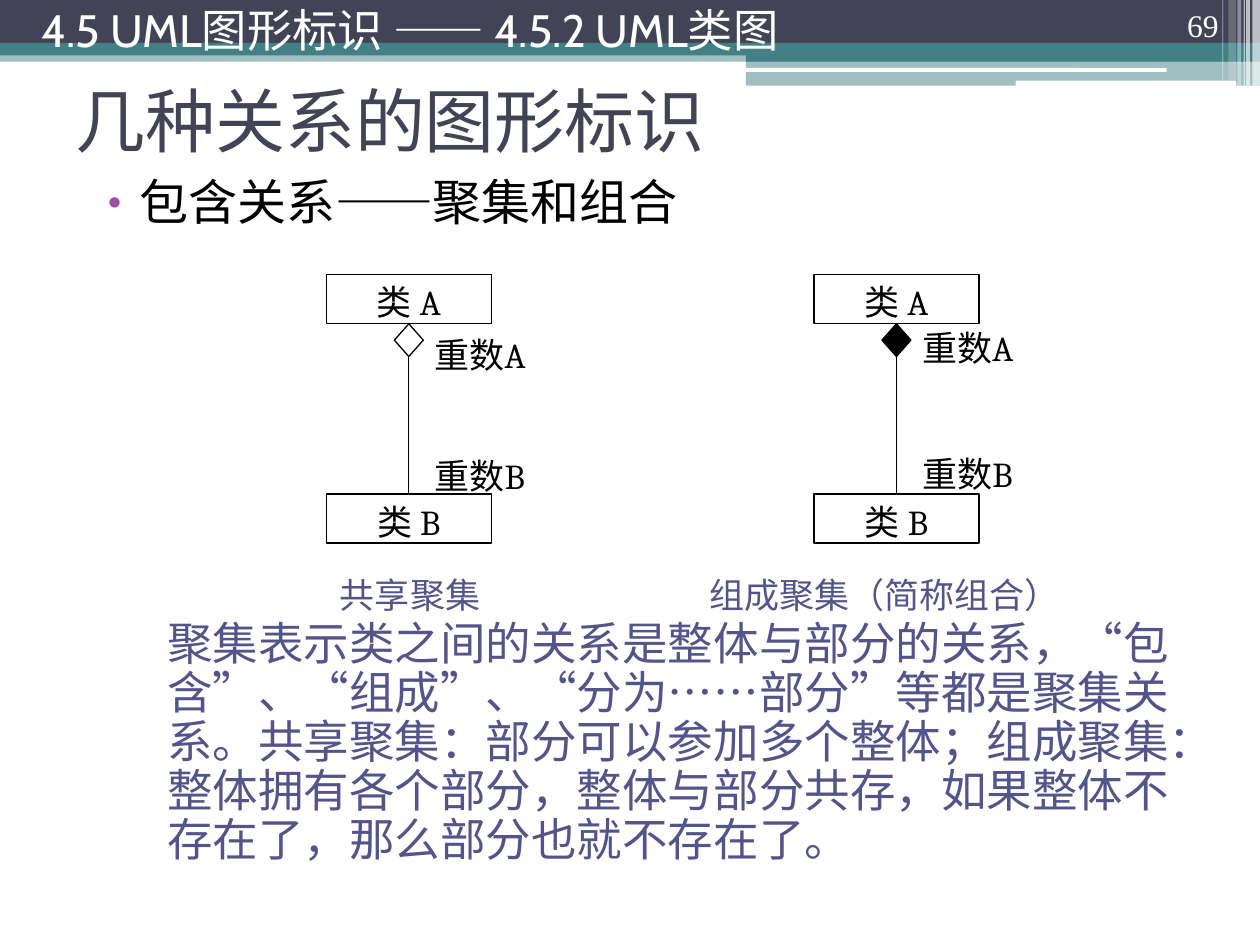
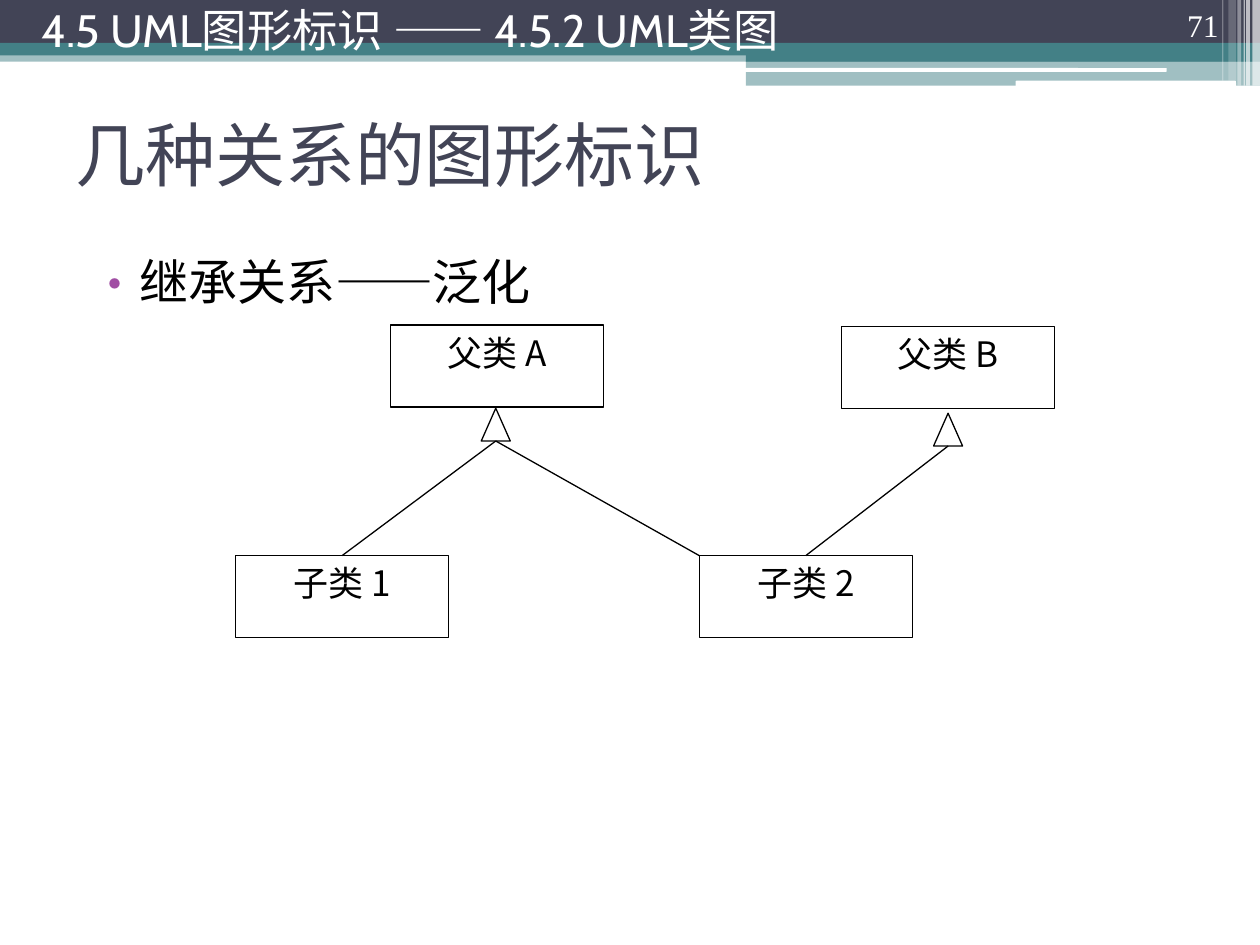
"""Two UML class-diagram slides: aggregation and generalization."""
from dataclasses import dataclass

from lxml import etree
from pptx import Presentation
from pptx.dml.color import RGBColor
from pptx.enum import shapes, text
from pptx.oxml.ns import qn
from pptx.util import Inches, Pt


@dataclass(frozen=True)
class Theme:
    """Colours, fonts and type sizes of the deck."""
    navy: str = "424456"
    teal: str = "438086"
    violet: str = "53548A"
    bullet: str = "A04DA3"
    black: str = "000000"
    white: str = "FFFFFF"
    heading_font: str = "Cabin"
    body_font: str = "Cambria"
    cjk_font: str = "Noto Sans CJK SC"
    number_font: str = "Times New Roman"
    title_size: float = 40
    topic_size: float = 28
    explanation_size: float = 26
    section_size: float = 25.9
    diagram_size: float = 20
    number_size: float = 18
    outline: float = 0.75


THEME = Theme()
SHAPE = shapes.MSO_SHAPE
ALIGN = text.PP_ALIGN
ANCHOR = text.MSO_ANCHOR
SECTION = "4.5 UML图形标识 —— 4.5.2 UML类图"
TITLE = "几种关系的图形标识"
EXPLANATION = (
    "聚集表示类之间的关系是整体与部分的关系，“包含”、“组成”、“分为……部分”等都是聚集关系。"
    "共享聚集：部分可以参加多个整体；组成聚集：整体拥有各个部分，整体与部分共存，"
    "如果整体不存在了，那么部分也就不存在了。"
)

HEADER_BANDS = [
    ((0, 0.4, 10, 0.09), THEME.teal, 50),
    ((0, 0, 10, 0.34), THEME.navy, 100),
    ((0, 0.34, 10, 0.1), THEME.teal, 100),
    ((5.92, 0.39, 4.08, 0.1), THEME.teal, 100),
    ((5.92, 0.48, 4.08, 0.2), THEME.teal, 50),
]
HEADER_RULES = [(5.91, 0.54, 3.35, 0.03), (8.06, 0.64, 1.75, 0.05)]
HEADER_STRIPES = [
    (9.94, 0.06, 0.68, 65), (9.89, 0.03, 0.68, 65), (9.87, 0.01, 0.68, 60),
    (9.82, 0.03, 0.68, 40), (9.75, 0.06, 0.64, 20), (9.7, 0.01, 0.64, 30),
]


def write(frame, words, size, color, font=THEME.body_font, align=ALIGN.LEFT, anchor=ANCHOR.TOP):
    """Put one styled paragraph into a text frame and return the paragraph."""
    frame.text = words
    frame.word_wrap = True
    frame.vertical_anchor = anchor
    paragraph = frame.paragraphs[0]
    paragraph.alignment = align
    for run in paragraph.runs:
        run.font.name = font
        run.font.size = Pt(size)
        run.font.color.rgb = RGBColor.from_string(color)
        east_asian = etree.SubElement(run.font._element, qn("a:ea"))
        east_asian.set("typeface", THEME.cjk_font)
    return paragraph


def add_label(slide, box, words, size, color, **style):
    """Add a text box holding one paragraph and return the paragraph."""
    label = slide.shapes.add_textbox(*map(Inches, box))
    return write(label.text_frame, words, size, color, **style)


def add_band(slide, box, color, opacity=100, kind=SHAPE.RECTANGLE):
    """Add a borderless filled band, translucent below full opacity."""
    band = slide.shapes.add_shape(kind, *map(Inches, box))
    band.shadow.inherit = False
    band.fill.solid()
    band.fill.fore_color.rgb = RGBColor.from_string(color)
    band.line.fill.background()
    if opacity < 100:
        tint = band.fill._xPr.find(".//" + qn("a:srgbClr"))
        etree.SubElement(tint, qn("a:alpha")).set("val", str(opacity * 1000))


def add_symbol(slide, kind, box, filled=False):
    """Add a black-outlined UML symbol, hollow unless filled."""
    symbol = slide.shapes.add_shape(kind, *map(Inches, box))
    symbol.shadow.inherit = False
    symbol.line.color.rgb = RGBColor.from_string(THEME.black)
    symbol.line.width = Pt(THEME.outline)
    if filled:
        symbol.fill.solid()
        symbol.fill.fore_color.rgb = RGBColor.from_string(THEME.black)
    else:
        symbol.fill.background()
    return symbol


def add_class(slide, box, name, font=THEME.body_font):
    """Add a class rectangle with its name."""
    uml_class = add_symbol(slide, SHAPE.RECTANGLE, box)
    write(uml_class.text_frame, name, THEME.diagram_size, THEME.black, font, ALIGN.CENTER)
    return uml_class


def add_link(slide, source, source_site, target, target_site=None):
    """Link two shapes; without a target site, end at the target's top left corner."""
    link = slide.shapes.add_connector(shapes.MSO_CONNECTOR.STRAIGHT, 0, 0, target.left, target.top)
    link.begin_connect(source, source_site)
    if target_site is None:
        link.end_x, link.end_y = target.left, target.top
    else:
        link.end_connect(target, target_site)
    if source_site == 3:
        link.begin_x = source.left + source.width // 2
        link.begin_y = source.top + source.height
    link.line.color.rgb = RGBColor.from_string(THEME.black)
    link.line.width = Pt(THEME.outline)
    etree.SubElement(link._element.spPr, qn("a:effectLst"))


def add_topic(slide, top, words):
    """Add the bulleted topic line."""
    topic = add_label(slide, (0.5, top, 9, 0.65), words, THEME.topic_size, THEME.black)
    properties = topic._p.get_or_add_pPr()
    properties.set("marL", str(Inches(0.4)))
    properties.set("indent", str(Inches(-0.28)))
    bullet_color = etree.SubElement(properties, qn("a:buClr"))
    etree.SubElement(bullet_color, qn("a:srgbClr")).set("val", THEME.bullet)
    etree.SubElement(properties, qn("a:buFont")).set("typeface", THEME.cjk_font)
    etree.SubElement(properties, qn("a:buChar")).set("char", "•")


def start_slide(deck, number, title_top, topic_top, topic):
    """Add a slide with the shared header, title, topic and number."""
    slide = deck.slides.add_slide(deck.slide_layouts[6])
    for box, color, opacity in HEADER_BANDS:
        add_band(slide, box, color, opacity)
    for box in HEADER_RULES:
        add_band(slide, box, THEME.white, kind=SHAPE.ROUNDED_RECTANGLE)
    for left, width, height, opacity in HEADER_STRIPES:
        add_band(slide, (left, 0, width, height), THEME.white, opacity)
    add_label(slide, (0.5, title_top, 9, 1.17), TITLE, THEME.title_size, THEME.navy,
              font=THEME.heading_font, anchor=ANCHOR.MIDDLE)
    add_topic(slide, topic_top, topic)
    add_label(slide, (8.94, 0, 0.83, 0.4), number, THEME.number_size, THEME.white,
              font=THEME.number_font, align=ALIGN.RIGHT, anchor=ANCHOR.BOTTOM)
    add_label(slide, (0.23, 0, 7.11, 0.47), SECTION, THEME.section_size, THEME.white,
              font=THEME.heading_font, anchor=ANCHOR.MIDDLE)
    return slide


def add_aggregation(slide, left, multiplicity_tops, filled):
    """Draw whole class A, its diamond and part class B in one column."""
    add_class(slide, (left, 2.18, 1.31, 0.39), "类 A")
    part = add_class(slide, (left, 3.92, 1.31, 0.39), "类 B")
    diamond = add_symbol(slide, SHAPE.DIAMOND, (left + 0.54, 2.57, 0.23, 0.26), filled)
    add_link(slide, diamond, 2, part, 0)
    for top, words in zip(multiplicity_tops, ("重数A", "重数B")):
        add_label(slide, (left + 0.76, top, 1.31, 0.42), words, THEME.diagram_size,
                  THEME.black, align=ALIGN.JUSTIFY)


def build_aggregation(deck):
    """Build the slide on shared and composite aggregation."""
    slide = start_slide(deck, "69", 0.36, 1.31, "包含关系——聚集和组合")
    add_aggregation(slide, 2.59, (2.6, 3.56), filled=False)
    add_aggregation(slide, 6.46, (2.54, 3.54), filled=True)
    for left, caption in ((2.6, "共享聚集"), (5.53, "组成聚集（简称组合）")):
        add_label(slide, (left, 4.5, 3.2, 0.45), caption, THEME.diagram_size, THEME.violet)
    explanation = add_label(slide, (1.23, 4.88, 8.27, 2.1), EXPLANATION,
                            THEME.explanation_size, THEME.violet)
    explanation.line_spacing = 0.9


def build_generalization(deck):
    """Build the slide on generalization between parents and children."""
    slide = start_slide(deck, "71", 0.63, 1.95, "继承关系——泛化")
    places = {"父类 A": (3.1, 2.58), "父类 B": (6.68, 2.59),
              "子类 1": (1.87, 4.41), "子类 2": (5.55, 4.41)}
    classes = {name: add_class(slide, (*place, 1.69, 0.65), name, THEME.cjk_font)
               for name, place in places.items()}
    arrow_a, arrow_b = (add_symbol(slide, SHAPE.ISOSCELES_TRIANGLE, (left, top, 0.23, 0.26))
                        for left, top in ((3.82, 3.24), (7.41, 3.28)))
    add_link(slide, arrow_a, 3, classes["子类 2"])
    add_link(slide, arrow_a, 3, classes["子类 1"], 0)
    add_link(slide, arrow_b, 3, classes["子类 2"], 0)


def main():
    """Build and save the deck."""
    deck = Presentation()
    deck.slide_width, deck.slide_height = Inches(10), Inches(7.5)
    build_aggregation(deck)
    build_generalization(deck)
    deck.save("out.pptx")


if __name__ == "__main__":
    main()
